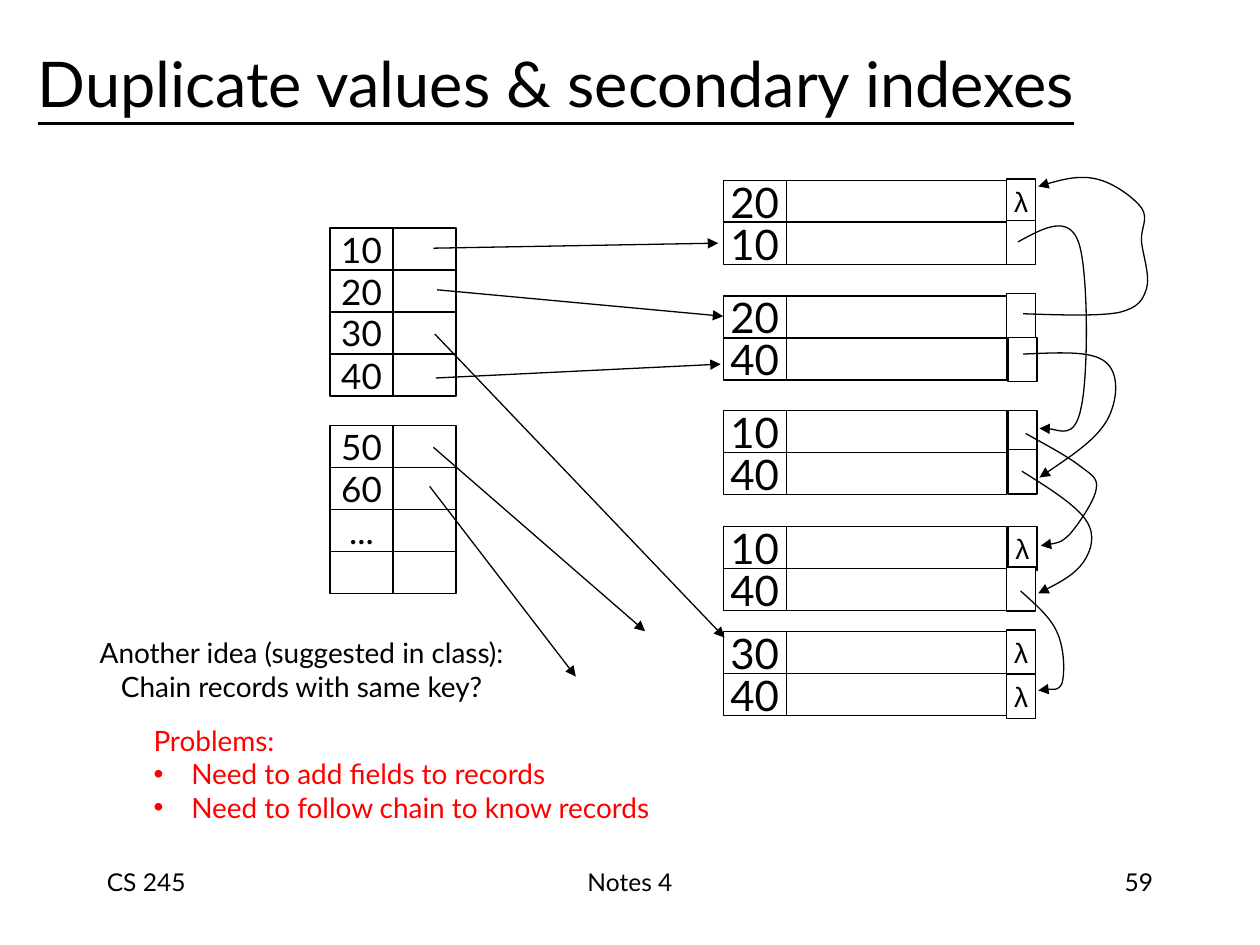
from itertools import accumulate

from lxml.etree import SubElement
from pptx import Presentation
from pptx.dml.color import RGBColor
from pptx.enum.shapes import MSO_CONNECTOR, MSO_SHAPE
from pptx.enum.text import MSO_ANCHOR, MSO_AUTO_SIZE, PP_ALIGN
from pptx.oxml.ns import qn
from pptx.util import Inches, Pt

prs = Presentation()
prs.slide_width, prs.slide_height = Inches(10), Inches(7.5)
COL, ROW = prs.slide_width / 100, prs.slide_height / 75
BLACK, WHITE, RED = "000000", "FFFFFF", "FF0000"

INDEX_BLOCKS = [
    (18.1, ["10", "20", "30", "40"]),
    (33.8, ["50", "60", "...", ""]),
]
RECORD_BLOCKS = [
    (14.3, ["20", "10"], [(0, -0.1, "λ"), (0, 3.2, "")]),
    (23.5, ["20", "40"], [(0, -0.2, ""), (0.1, 3.3, "")]),
    (32.6, ["10", "40"], [(0.1, 0, ""), (0.1, 3.1, "")]),
    (41.8, ["10", "40"], [(0.1, 0, "λ"), (0, 3.2, "")]),
    (50.1, ["30", "40"], [(0, -0.1, "λ"), (0, 3.4, "λ")]),
]
INDEX_ARROWS = [
    (0.4, 0.7, 23, 0.3),
    (0.7, 4, 23.4, 6.1),
    (0.5, 7.5, 23.5, 31.6),
    (0.6, 11, 23.2, 9.9),
    (0.4, 16.5, 17.2, 31.1),
    (0.1, 19.6, 11.7, 34.7),
]
CHAINS = [
    [(0.8, 5.2), (2.8, 4.1), (4.8, 3), (5.6, 5.2), (6.4, 7.4), (6.4, 15.9),
     (5.8, 18.4), (5.3, 20.9), (3.1, 19.8), (2.5, 20)],
    [(1.2, 10.9), (4.2, 11), (7.2, 11.1), (8.8, 10.8), (10.4, 10.4), (10.7, 9.8),
     (11, 8.9), (11.3, 7.9), (10.7, 6.2), (10.6, 5.2), (10.5, 4.1), (11.2, 3.4),
     (10.6, 2.5), (10, 1.7), (8.4, 0.5), (7, 0.2), (5.7, -0.1), (4, 0.3), (2.4, 0.8)],
    [(1.2, 14.1), (3.9, 14), (6.6, 13.8), (7.7, 14.7), (8.9, 15.6), (8.7, 17.8),
     (7.9, 19.3), (7, 20.9), (4.7, 22.4), (2.5, 23.9)],
    [(1.1, 23.4), (3.2, 24.7), (5.4, 26.1), (6.2, 27.3), (7, 28.5), (6.6, 29.7),
     (6, 30.6), (5.3, 31.6), (3.8, 32.4), (2.4, 33.1)],
    [(1, 32.9), (2.2, 34), (3.4, 35), (3.9, 36.2), (4.5, 37.5), (4.5, 39.4),
     (4.3, 40.2), (4, 40.9), (2.7, 40.6), (2.4, 40.8)],
    [(1.4, 20.4), (3, 21.3), (4.7, 22.2), (5.6, 22.9), (6.5, 23.6), (7.2, 23.9),
     (7, 24.8), (6.9, 25.7), (5.6, 27.6), (4.9, 28.4), (4.2, 29.1), (3.4, 29.2),
     (2.6, 29.3)],
]


def rgb(value):
    return RGBColor.from_string(value)


def place(box):
    return [round(n * unit) for n, unit in zip(box, (COL, ROW, COL, ROW))]


def add_run(p, text, size, color=BLACK, font="Lato"):
    r = p.add_run()
    r.text = text
    r.font.size, r.font.name = Pt(size), font
    r.font.color.rgb = rgb(color)
    return r


def outline(sp, arrow=False):
    sp.line.color.rgb = rgb(BLACK)
    sp.line.width = Pt(0.75)
    if arrow:
        ln = sp._element.spPr.find(qn("a:ln"))
        SubElement(ln, qn("a:tailEnd"), type="triangle")


def add_cell(shapes, box, text, size, font="Lato"):
    sp = shapes.add_shape(MSO_SHAPE.RECTANGLE, *place(box))
    sp.shadow.inherit = False
    sp.fill.solid()
    sp.fill.fore_color.rgb = rgb(WHITE)
    outline(sp)
    if text:
        tf = sp.text_frame
        tf.word_wrap = False
        tf.vertical_anchor = MSO_ANCHOR.MIDDLE
        tf.margin_left = tf.margin_right = tf.margin_top = tf.margin_bottom = 0
        tf.paragraphs[0].alignment = PP_ALIGN.CENTER
        add_run(tf.paragraphs[0], text, size, font=font)


def add_block(s, box, widths, keys, size):
    left, top, _, height = box
    step = height / len(keys)
    group = s.shapes.add_group_shape()
    for i, key in enumerate(keys):
        for x, width, text in zip(accumulate([left] + widths), widths, (key, "")):
            add_cell(group.shapes, (x, top + i * step, width, step), text, size)


def add_pointers(s, box, pointers):
    left, top, width, height = box
    for dx, dy, mark in pointers:
        add_cell(s.shapes, (left + dx, top + dy, width, height), mark, 16, "Arial")


def add_arrows(s, box, arrows):
    left, top = box[:2]
    for x1, y1, x2, y2 in arrows:
        ends = place((left + x1, top + y1, left + x2, top + y2))
        cn = s.shapes.add_connector(MSO_CONNECTOR.STRAIGHT, *ends)
        outline(cn, arrow=True)
        SubElement(cn._element.spPr, qn("a:effectLst"))


def add_chains(s, box, chains):
    left, top = box[:2]
    for chain in chains:
        points = [place((left + x, top + y)) for x, y in chain]
        builder = s.shapes.build_freeform(*points[0])
        builder.add_line_segments(points[1:], close=False)
        sp = builder.convert_to_shape()
        sp.shadow.inherit = False
        sp.fill.background()
        outline(sp, arrow=True)
        path = next(sp._element.iter(qn("a:path")))
        segments = path.findall(qn("a:lnTo"))
        for i in range(0, len(segments), 3):
            curve = SubElement(path, qn("a:cubicBezTo"))
            for segment in segments[i:i + 3]:
                curve.append(segment[0])
                path.remove(segment)


def add_text(s, box, anchor=MSO_ANCHOR.TOP):
    tf = s.shapes.add_textbox(*place(box)).text_frame
    tf.word_wrap = True
    tf.vertical_anchor = anchor
    return tf


def add_title(s, box, text):
    title = s.shapes.title
    title.left, title.top, title.width, title.height = place(box)
    tf = title.text_frame
    tf.auto_size = MSO_AUTO_SIZE.NONE
    tf.vertical_anchor = MSO_ANCHOR.MIDDLE
    p = tf.paragraphs[0]
    p.alignment = PP_ALIGN.LEFT
    add_run(p, text, 36).font.underline = True


def add_footer(s, box, parts):
    left, top, width, height = box
    for x, w, text, align in parts:
        tf = add_text(s, (left + x * width, top, w * width, height))
        tf.paragraphs[0].alignment = align
        add_run(tf.paragraphs[0], text, 14)


def add_idea(s, box, lines):
    p = add_text(s, box, MSO_ANCHOR.MIDDLE).paragraphs[0]
    p.alignment = PP_ALIGN.CENTER
    add_run(p, lines[0], 16)
    p.add_line_break()
    add_run(p, lines[1], 16)


def add_problems(s, box, heading, items):
    tf = add_text(s, box, MSO_ANCHOR.MIDDLE)
    add_run(tf.paragraphs[0], heading, 16, RED)
    indent = round(3 * COL)
    for item in items:
        p = tf.add_paragraph()
        pPr = p._p.get_or_add_pPr()
        pPr.set("marL", str(indent))
        pPr.set("indent", str(-indent))
        SubElement(pPr, qn("a:buFont"), typeface="Arial")
        SubElement(pPr, qn("a:buChar"), char="•")
        add_run(p, item, 16, RED)


def main():
    s = prs.slides.add_slide(prs.slide_layouts[5])
    add_footer(s, (7.5, 68.3, 85, 5), [
        (0, 0.25, "CS 245", PP_ALIGN.LEFT),
        (0.31, 0.38, "Notes 4", PP_ALIGN.CENTER),
        (0.75, 0.25, "59", PP_ALIGN.RIGHT),
    ])
    add_title(s, (2, 1.6, 86.7, 9.9), "Duplicate values & secondary indexes")
    for top, keys, _ in RECORD_BLOCKS:
        add_block(s, (57.4, top, 22.5, 6.67), [5, 17.5], keys, 24)
    for top, keys in INDEX_BLOCKS:
        add_block(s, (26.2, top, 10, 13.33), [5, 5], keys, 20)
    add_arrows(s, (34, 19, 24, 35), INDEX_ARROWS)
    for top, _, pointers in RECORD_BLOCKS:
        add_pointers(s, (79.9, top, 2.3, 3.5), pointers)
    add_chains(s, (80, 14, 12, 41), CHAINS)
    add_idea(s, (5.5, 49.9, 36.9, 6.4),
             ["Another idea (suggested in class):", "Chain records with same key?"])
    add_problems(s, (11.2, 56.9, 42.2, 9), "Problems:",
                 ["Need to add fields to records", "Need to follow chain to know records"])
    prs.save("out.pptx")


if __name__ == "__main__":
    main()
